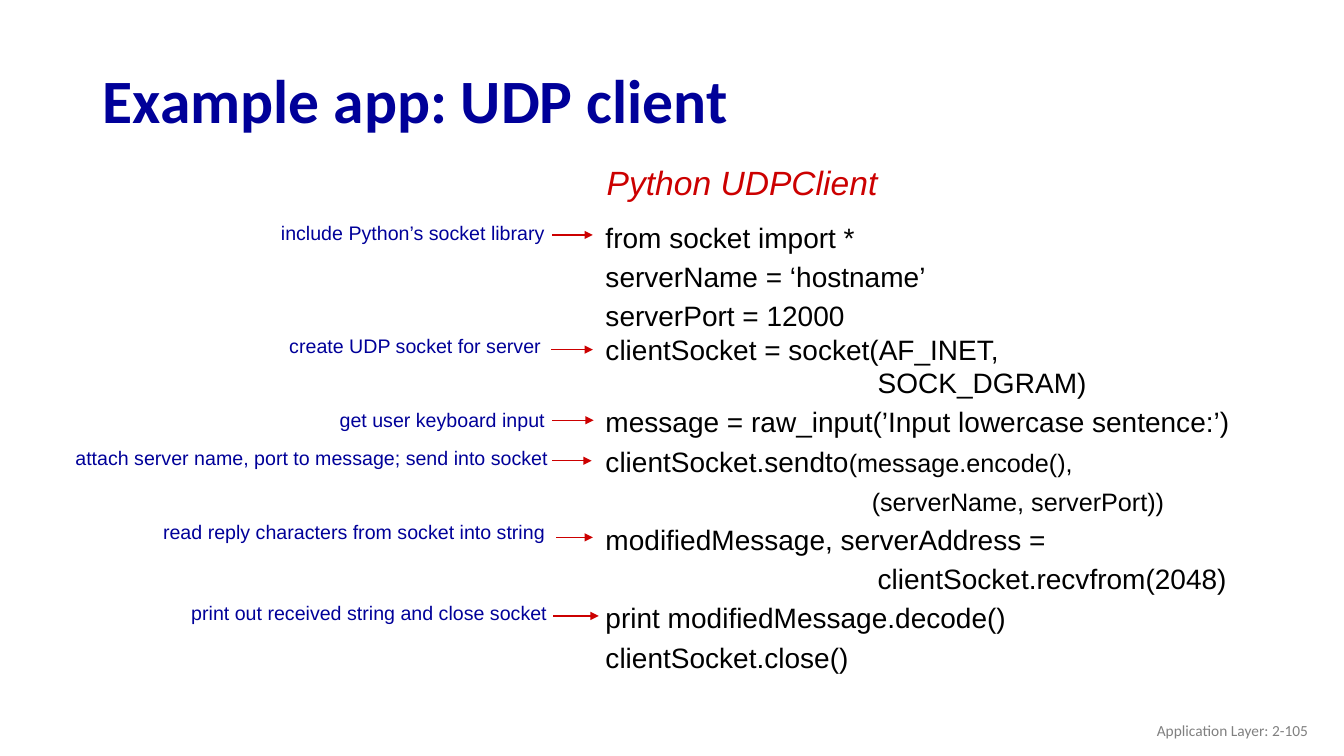
"""Build the UDP client example slide with annotated code."""
from dataclasses import dataclass

from lxml import etree
from pptx import Presentation
from pptx.dml.color import RGBColor
from pptx.enum import shapes, text
from pptx.oxml.ns import qn
from pptx.util import Cm, Pt

COLORS = {"navy": "000099", "red": "CC0000", "black": "000000", "gray": "808080"}


@dataclass(frozen=True)
class CodeLine:
    """One line of the listing, with an optional smaller ending."""
    text: str
    small: str = ""
    indent: float = 0
    spacing: int = 28


@dataclass(frozen=True)
class Note:
    """A caption and the arrow from it to the code, in centimetres."""
    text: str
    left: float
    top: float
    width: float
    arrow_start: float
    arrow_end: float
    arrow_y: float


CODE = [
    CodeLine("from socket import *"),
    CodeLine("serverName = ‘hostname’"),
    CodeLine("serverPort = 12000"),
    CodeLine("clientSocket = socket(AF_INET,", spacing=24),
    CodeLine("SOCK_DGRAM)", indent=6.86, spacing=24),
    CodeLine("message = raw_input(’Input lowercase sentence:’)"),
    CodeLine("clientSocket.sendto", small="(message.encode(),"),
    CodeLine("", small="(serverName, serverPort))", indent=6.71),
    CodeLine("modifiedMessage, serverAddress ="),
    CodeLine("clientSocket.recvfrom(2048)", indent=6.86),
    CodeLine("print modifiedMessage.decode()"),
    CodeLine("clientSocket.close()"),
]

NOTES = [
    Note("include Python’s socket library", 6.83, 5.46, 8.41, 13.92, 14.94, 5.92),
    Note("create UDP socket for server", 7.04, 8.33, 8.18, 13.89, 14.94, 8.81),
    Note("get user keyboard input", 8.31, 10.19, 8.18, 13.92, 14.96, 10.59),
    Note("attach server name, port to message; send into socket",
         1.65, 11.15, 13.11, 13.92, 14.91, 11.61),
    Note("read reply characters from socket into string",
         3.86, 13, 11.35, 14.02, 14.94, 13.54),
    Note("print out received string and close socket",
         4.57, 15.04, 10.24, 13.94, 15.09, 15.52),
]


def rgb(name: str) -> RGBColor:
    """Look up a palette colour."""
    return RGBColor.from_string(COLORS[name])


def style(p, size: float, color: str, name: str = "Arial") -> None:
    """Set the font of a whole paragraph."""
    p.font.size = Pt(size)
    p.font.name = name
    p.font.color.rgb = rgb(color)


def add_box(s, left: float, top: float, width: float, height: float):
    """Add a wrapping text box and return its text frame."""
    tf = s.shapes.add_textbox(Cm(left), Cm(top), Cm(width), Cm(height)).text_frame
    tf.word_wrap = True
    return tf


def add_label(s, label: str, left: float, top: float, width: float, height: float,
              size: float, color: str, name: str = "Arial"):
    """Add a one-paragraph text box and return the paragraph."""
    p = add_box(s, left, top, width, height).paragraphs[0]
    p.text = label
    style(p, size, color, name)
    return p


def add_title(s) -> None:
    """Place and format the title placeholder."""
    sp = s.shapes.title
    sp.left, sp.top, sp.width, sp.height = Cm(2.34), Cm(1.24), Cm(29.21), Cm(2.49)
    tf = sp.text_frame
    tf.text = "Example app: UDP client"
    tf.vertical_anchor = text.MSO_ANCHOR.MIDDLE
    p = tf.paragraphs[0]
    p.alignment = text.PP_ALIGN.LEFT
    style(p, 44, "navy", "Calibri")
    p.font.bold = True


def add_code(s) -> None:
    """Write the listing, one paragraph per line."""
    tf = add_box(s, 15.01, 5.28, 16.38, 13.79)
    for i, line in enumerate(CODE):
        p = tf.add_paragraph() if i else tf.paragraphs[0]
        p.line_spacing = Pt(line.spacing)
        style(p, 20, "black")
        if line.indent:
            p._p.get_or_add_pPr().set("marL", str(Cm(line.indent)))
        for part, size in ((line.text, 20), (line.small, 18)):
            if part:
                r = p.add_run()
                r.text = part
                r.font.size = Pt(size)


def add_note(s, note: Note) -> None:
    """Draw a caption with its arrow."""
    p = add_label(s, note.text, note.left, note.top, note.width, 0.85, 14, "navy")
    p.line_spacing = Pt(16)
    arrow = s.shapes.add_connector(
        shapes.MSO_CONNECTOR.STRAIGHT, Cm(note.arrow_start), Cm(note.arrow_y),
        Cm(note.arrow_end), Cm(note.arrow_y))
    arrow.line.color.rgb = rgb("red")
    arrow.line.width = Pt(1)
    etree.SubElement(arrow.line._get_or_add_ln(), qn("a:tailEnd"), type="triangle")
    etree.SubElement(arrow._element.spPr, qn("a:effectLst"))


def main() -> None:
    """Build and save the slide."""
    prs = Presentation()
    prs.slide_width, prs.slide_height = Cm(33.87), Cm(19.05)
    s = prs.slides.add_slide(prs.slide_layouts[5])
    add_title(s)
    add_code(s)
    heading = add_label(s, "Python UDPClient", 15.04, 3.96, 7.62, 1.3, 24, "red")
    heading.font.italic = True
    for note in NOTES:
        add_note(s, note)
    footer = add_label(s, "Application Layer: 2-105", 25.6, 18.05, 7.62, 0.7,
                       11, "gray", "Calibri")
    footer.alignment = text.PP_ALIGN.RIGHT
    prs.save("out.pptx")


if __name__ == "__main__":
    main()
